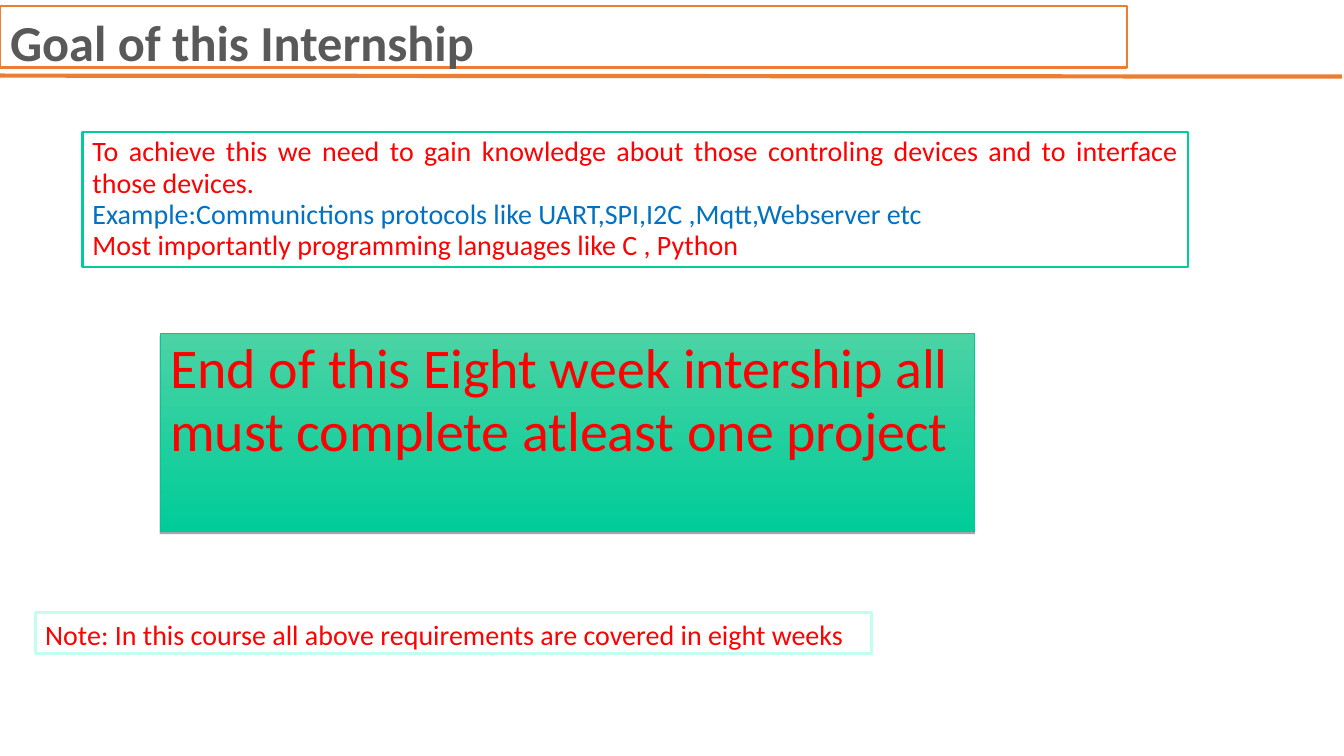
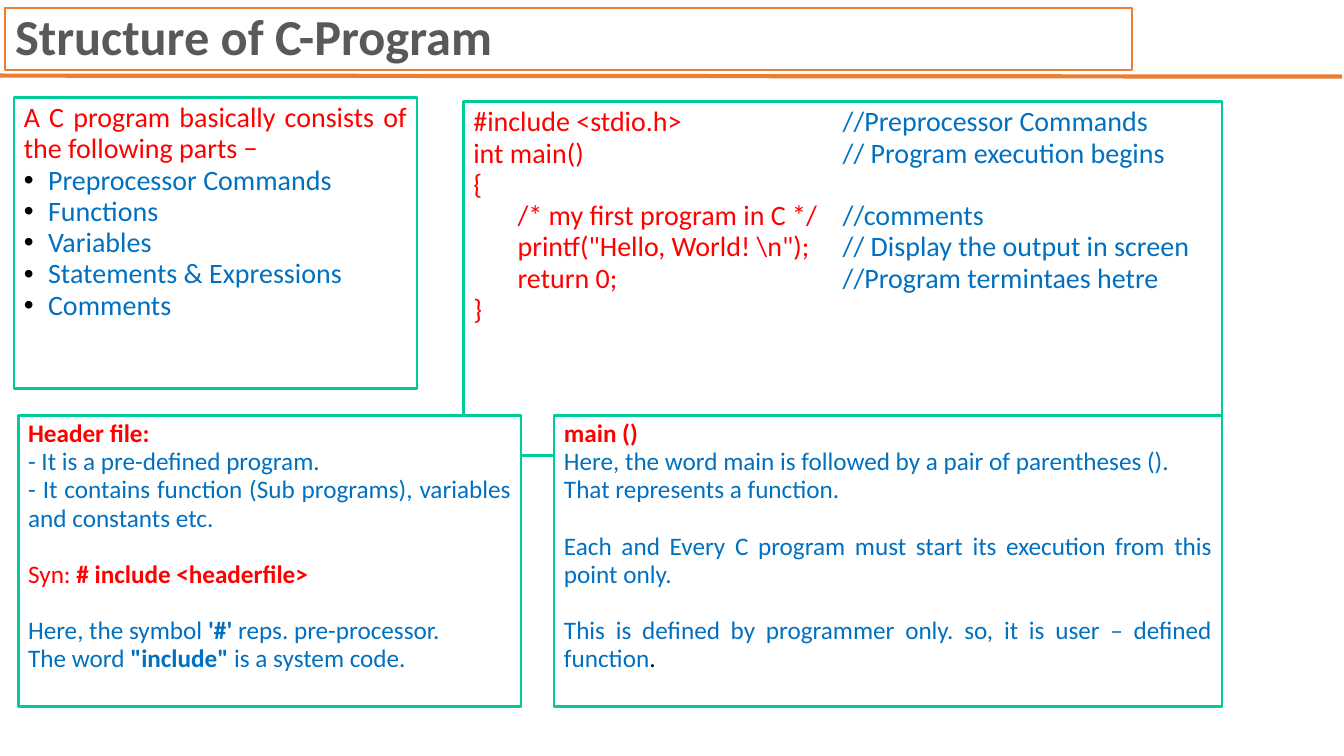
"""Build two internship slides: the goal and the structure of a C program."""
import dataclasses

import lxml.etree
import pptx
import pptx.dml.color
import pptx.enum.shapes
import pptx.enum.text
import pptx.oxml.ns
import pptx.util

Pt = pptx.util.Pt
ALIGN = pptx.enum.text.PP_ALIGN
ANCHOR = pptx.enum.text.MSO_ANCHOR


@dataclasses.dataclass(frozen=True)
class Theme:
    font: str = "Calibri"
    orange: str = "ED7D31"
    green: str = "00CC99"
    light_green: str = "4BD3A4"
    banner_edge: str = "00C795"
    mint: str = "C2FFF0"
    white: str = "FFFFFF"
    grey: str = "595959"
    red: str = "FF0000"
    blue: str = "0070C0"
    black: str = "000000"
    title_size: float = 36
    banner_size: float = 40
    body_size: float = 20
    detail_size: float = 18
    tight: float = 0.93


THEME = Theme()


def rgb(value):
    return pptx.dml.color.RGBColor.from_string(value)


def add_xml(parent, tag, **attributes):
    return lxml.etree.SubElement(parent, pptx.oxml.ns.qn(tag), attributes)


def red(text, bold=False):
    return text, THEME.red, bold


def blue(text, bold=False):
    return text, THEME.blue, bold


def para(*runs, gap=0, bullet=False, tab=None, align=ALIGN.JUSTIFY):
    return {"runs": runs, "gap": gap, "bullet": bullet, "tab": tab, "align": align}


class Deck:
    def __init__(self):
        self.file = pptx.Presentation()
        self.file.slide_width, self.file.slide_height = Pt(960.5), Pt(540)
        self.layout = self.file.slide_layouts[5]
        self.slide = None

    def new_slide(self, title, left, top, anchor, spacing):
        first = self.slide is None
        self.slide = self.file.slides.add_slide(self.layout)
        if first:
            self.add_title_rule()
        heading = self.slide.shapes.title
        place = {"left": left, "top": top, "width": 805.7, "height": 43.9}
        for name, value in place.items():
            setattr(heading, name, Pt(value))
        self.outline(heading, THEME.orange, 1.5)
        self.set_text(heading, [para((title, THEME.grey, True), align=ALIGN.LEFT)],
                      THEME.title_size, spacing, anchor)

    def add_title_rule(self):
        rule = self.slide.shapes.add_connector(
            pptx.enum.shapes.MSO_CONNECTOR.STRAIGHT, Pt(0), Pt(54), Pt(959), Pt(54.7))
        self.outline(rule, THEME.orange, 3)
        add_xml(rule.element.spPr, "a:effectLst")
        self.layout.shapes.element.append(rule.element)

    def outline(self, shape, color, width):
        shape.line.color.rgb = rgb(color)
        shape.line.width = Pt(width)

    def box(self, place, paragraphs, size=THEME.body_size, edge=THEME.green,
            width=2, spacing=THEME.tight):
        panel = self.slide.shapes.add_shape(
            pptx.enum.shapes.MSO_SHAPE.RECTANGLE, *map(Pt, place))
        panel.shadow.inherit = False
        panel.fill.solid()
        panel.fill.fore_color.rgb = rgb(THEME.white)
        self.outline(panel, edge, width)
        self.set_text(panel, paragraphs, size, spacing)
        return panel

    def banner(self, place, paragraphs):
        panel = self.box(place, paragraphs, THEME.banner_size, THEME.banner_edge, 0.75)
        panel.fill.gradient()
        panel.fill.gradient_angle = 270
        for stop, color in zip(panel.fill.gradient_stops, (THEME.light_green, THEME.green)):
            stop.color.rgb = rgb(color)
        effects = panel.element.spPr.find(pptx.oxml.ns.qn("a:effectLst"))
        shadow = add_xml(effects, "a:outerShdw", blurRad="0", dist=str(Pt(1.8)),
                         dir="5400000", rotWithShape="0")
        tint = add_xml(shadow, "a:srgbClr", val=THEME.black)
        add_xml(tint, "a:alpha", val="35000")

    def set_text(self, shape, paragraphs, size, spacing, anchor=ANCHOR.TOP):
        frame = shape.text_frame
        settings = {"word_wrap": True, "vertical_anchor": anchor,
                    "auto_size": pptx.enum.text.MSO_AUTO_SIZE.NONE,
                    "margin_left": Pt(7.2), "margin_right": Pt(7.2),
                    "margin_top": Pt(3.6), "margin_bottom": Pt(3.6)}
        for name, value in settings.items():
            setattr(frame, name, value)
        for index, content in enumerate(paragraphs):
            paragraph = frame.add_paragraph() if index else frame.paragraphs[0]
            layout = {"alignment": content["align"], "line_spacing": spacing,
                      "space_before": Pt(content["gap"])}
            for name, value in layout.items():
                setattr(paragraph, name, value)
            self.mark(paragraph, content)
            for text, color, bold in content["runs"]:
                run = paragraph.add_run()
                run.text = text
                style = {"name": THEME.font, "size": Pt(size), "bold": bold}
                for name, value in style.items():
                    setattr(run.font, name, value)
                run.font.color.rgb = rgb(color)

    def mark(self, paragraph, content):
        properties = paragraph._p.get_or_add_pPr()
        if content["bullet"]:
            properties.set("marL", str(Pt(17.28)))
            properties.set("indent", str(Pt(-17.28)))
            add_xml(add_xml(properties, "a:buClr"), "a:srgbClr", val=THEME.black)
            add_xml(properties, "a:buFont", typeface="Arial")
            add_xml(properties, "a:buChar", char="•")
        if content["tab"]:
            stops = add_xml(properties, "a:tabLst")
            add_xml(stops, "a:tab", pos=str(Pt(content["tab"])), algn="l")


def goal_slide(deck):
    deck.new_slide("Goal of this Internship", 0, 4.3, ANCHOR.TOP, 1.0)
    deck.box((59, 94.3, 790, 96.5), [
        para(red("To achieve this we need to gain knowledge about those "
                 "controling devices and to interface those devices.")),
        para(blue("Example:Communictions protocols like UART,SPI,I2C ,Mqtt,Webserver etc")),
        para(red("Most importantly programming languages like C , Python")),
    ])
    deck.banner((114.5, 238.3, 581.8, 141.1), [
        para(red("End of this Eight week intership all must complete atleast one project"),
             align=ALIGN.LEFT),
    ])
    deck.box((25.2, 437.8, 597.6, 28.8), [
        para(red("Note: In this course all above requirements are covered in eight weeks"),
             align=ALIGN.LEFT),
    ], edge=THEME.mint, spacing=1.0)


def structure_slide(deck):
    deck.new_slide("Structure of C-Program", 3.6, 5.8, ANCHOR.MIDDLE, THEME.tight)
    parts = ("Preprocessor Commands", "Functions", "Variables",
             "Statements & Expressions", "Comments")
    deck.box((10, 69.8, 288, 208), [
        para(red("A C program basically consists of the following parts −")),
        *(para(blue(part), bullet=True, align=ALIGN.LEFT) for part in parts),
    ])

    program = (
        ("#include <stdio.h>", "//Preprocessor Commands"),
        ("int main()", "// Program execution begins"),
        ("{", ""),
        ("       /* my first program in C */", "//comments"),
        ('       printf("Hello, World! \\n");', "// Display the output in screen"),
        ("       return 0;", "//Program termintaes hetre"),
        ("}", ""),
    )
    deck.box((331.2, 72.7, 542.2, 252.7), [
        para(red(code), *([blue("\t" + comment)] if comment else []),
             tab=264, align=ALIGN.LEFT)
        for code, comment in program
    ])

    lower_top, lower_height, blank_line = 296.6, 208, 20
    deck.box((13, lower_top, 359.3, lower_height), [
        para(red("Header file:", True)),
        para(blue("- It is a pre-defined program.")),
        para(blue("- It contains function (Sub programs), variables and constants etc.")),
        para(red("Syn: "), red("# include <headerfile>", True), gap=blank_line),
        para(blue("Here, the symbol "), blue("'#'", True),
             blue(" reps. pre-processor."), gap=blank_line),
        para(blue("The word "), blue('"include"', True), blue(" is a system code.")),
    ], THEME.detail_size)
    deck.box((396, lower_top, 477.4, lower_height), [
        para(red("main ()", True)),
        para(blue("Here, the word main is followed by a pair of parentheses ().")),
        para(blue("That represents a function.")),
        para(blue("Each and Every C program must start its execution from "
                  "this point only."), gap=blank_line),
        para(blue("This is defined by programmer only. so, it is user – "
                  "defined function"), (".", THEME.black, False), gap=blank_line),
    ], THEME.detail_size)


def main():
    deck = Deck()
    goal_slide(deck)
    structure_slide(deck)
    deck.file.save("out.pptx")


if __name__ == "__main__":
    main()
